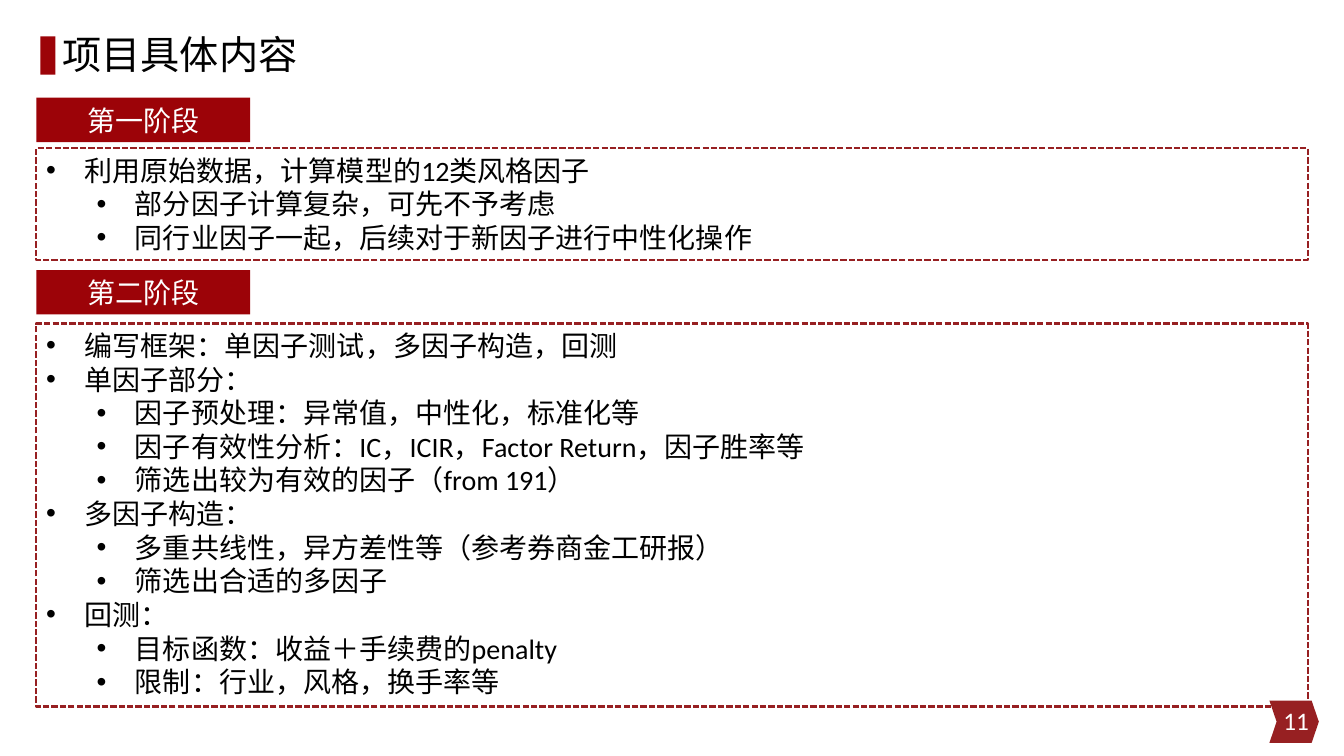
"""Build the project content slide with two dashed stage panels."""
from lxml import etree
from pptx import Presentation
from pptx.dml.color import RGBColor
from pptx.enum import dml, shapes, text
from pptx.oxml import ns
from pptx.util import Inches, Pt

CRIMSON = RGBColor(0x9C, 0x03, 0x08)
BRICK = RGBColor(0x97, 0x20, 0x22)
BLACK = RGBColor(0, 0, 0)
WHITE = RGBColor(0xFF, 0xFF, 0xFF)

LEFT = 0.36
STAGES = [
    ("第一阶段", 0.97, 1.47, 1.11, [
        (0, "利用原始数据，计算模型的12类风格因子"),
        (1, "部分因子计算复杂，可先不予考虑"),
        (1, "同行业因子一起，后续对于新因子进行中性化操作"),
    ]),
    ("第二阶段", 2.68, 3.21, 3.8, [
        (0, "编写框架：单因子测试，多因子构造，回测"),
        (0, "单因子部分："),
        (1, "因子预处理：异常值，中性化，标准化等"),
        (1, "因子有效性分析：IC，ICIR，Factor Return，因子胜率等"),
        (1, "筛选出较为有效的因子（from 191）"),
        (0, "多因子构造："),
        (1, "多重共线性，异方差性等（参考券商金工研报）"),
        (1, "筛选出合适的多因子"),
        (0, "回测："),
        (1, "目标函数：收益＋手续费的penalty"),
        (1, "限制：行业，风格，换手率等"),
    ]),
]


def add_block(preset, left, top, width, height, fill=None):
    block = slide.shapes.add_shape(
        preset, Inches(left), Inches(top), Inches(width), Inches(height))
    block.shadow.inherit = False
    if fill is None:
        block.fill.background()
    else:
        block.fill.solid()
        block.fill.fore_color.rgb = fill
        block.line.fill.background()
    return block


def style(paragraph, size, color, align, font_name="Calibri"):
    paragraph.alignment = align
    paragraph.font.name = font_name
    paragraph.font.size = Pt(size)
    paragraph.font.color.rgb = color


prs = Presentation()
prs.slide_width, prs.slide_height = Inches(13.33), Inches(7.5)
slide = prs.slides.add_slide(prs.slide_layouts[5])

heading = slide.shapes.title
heading.left, heading.top = Inches(0.52), Inches(-0.02)
heading.width, heading.height = Inches(11.31), Inches(1.17)
heading.text_frame.text = "项目具体内容"
heading.text_frame.vertical_anchor = text.MSO_ANCHOR.MIDDLE
heading.text_frame.paragraphs[0].line_spacing = 0.9
style(heading.text_frame.paragraphs[0], 28, BLACK, text.PP_ALIGN.LEFT, "Noto Sans CJK SC")

page_badge = add_block(shapes.MSO_SHAPE.CHEVRON, 12.59, 6.95, 0.49, 0.42, BRICK)
page_badge.adjustments[0] = 0.17
add_block(shapes.MSO_SHAPE.RECTANGLE, 0.4, 0.36, 0.15, 0.38, CRIMSON)

page_number = slide.shapes.add_textbox(
    Inches(10.08), Inches(6.95), Inches(3), Inches(0.4)).text_frame
page_number.word_wrap = True
page_number.vertical_anchor = text.MSO_ANCHOR.MIDDLE
page_number.text = "11"
style(page_number.paragraphs[0], 18, WHITE, text.PP_ALIGN.RIGHT)

for stage, label_top, panel_top, panel_height, points in STAGES:
    label = add_block(shapes.MSO_SHAPE.RECTANGLE, LEFT, label_top, 2.12, 0.44, CRIMSON)
    label.text_frame.text = stage
    style(label.text_frame.paragraphs[0], 20, WHITE, text.PP_ALIGN.CENTER)

    panel = add_block(shapes.MSO_SHAPE.RECTANGLE, LEFT, panel_top, 12.61, panel_height)
    panel.line.color.rgb = BRICK
    panel.line.width = Pt(1.5)
    panel.line.dash_style = dml.MSO_LINE.SQUARE_DOT
    panel.text_frame.vertical_anchor = text.MSO_ANCHOR.TOP
    panel.text_frame.text = "\n".join(point for _, point in points)
    for paragraph, (level, _) in zip(panel.text_frame.paragraphs, points):
        paragraph.level = level
        properties = paragraph._p.get_or_add_pPr()
        properties.set("marL", str(Inches(0.38 + 0.5 * level)))
        properties.set("indent", str(Inches(-0.38)))
        etree.SubElement(properties, ns.qn("a:buFont"), typeface="Arial")
        etree.SubElement(properties, ns.qn("a:buChar"), char="•")
        style(paragraph, 20, BLACK, text.PP_ALIGN.LEFT)

prs.save("out.pptx")
